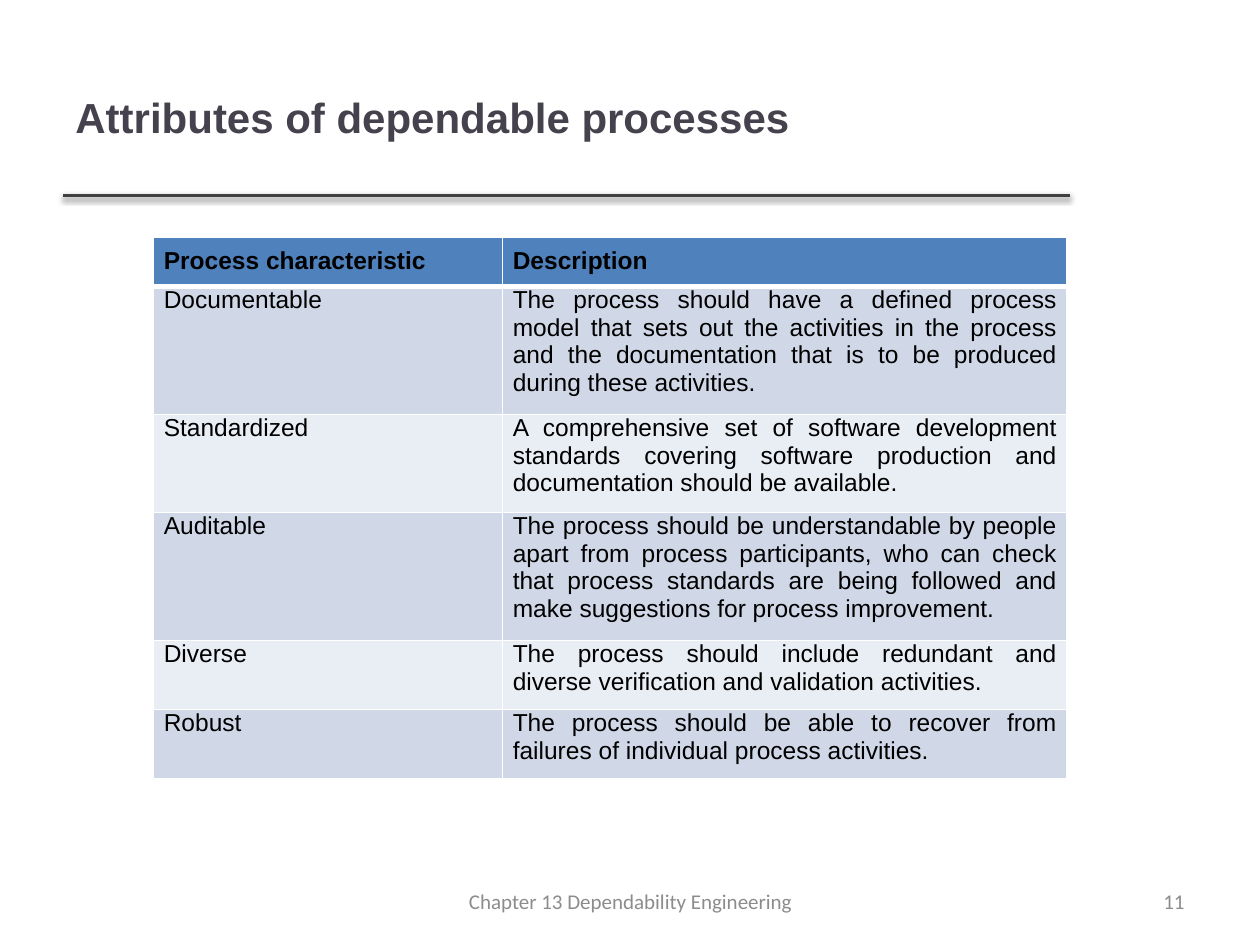
from lxml.etree import SubElement
from pptx import Presentation
from pptx.dml.color import RGBColor
from pptx.enum.shapes import MSO_CONNECTOR
from pptx.enum.text import MSO_ANCHOR, PP_ALIGN
from pptx.oxml.ns import qn
from pptx.util import Inches, Pt

HEADER_FILL = "4F81BD"
BAND_FILLS = ("D0D8E8", "E9EDF4")
FOOTER_STYLE = {"size": 12, "color": "8C8C8C", "font": "Calibri"}
COLUMN_WIDTHS = (2.77, 4.48)
LINE_HEIGHT = 0.2175
CELL_MARGIN = 0.08

HEADINGS = ("Process characteristic", "Description")
# Characteristic, description, lines of description
ATTRIBUTES = [
    ("Documentable", "The process should have a defined process model that sets out the "
     "activities in the process and the documentation that is to be produced during "
     "these activities.", 4),
    ("Standardized", "A comprehensive set of software development standards covering "
     "software production and documentation should be available.", 3),
    ("Auditable", "The process should be understandable by people apart from process "
     "participants, who can check that process standards are being followed and make "
     "suggestions for process improvement.", 4),
    ("Diverse", "The process should include redundant and diverse verification and "
     "validation activities.", 2),
    ("Robust", "The process should be able to recover from failures of individual "
     "process activities.", 2),
]


def rgb(value):
    return RGBColor.from_string(value)


class SlideBuilder:
    def __init__(self, slide):
        self.slide = slide

    def style(self, paragraph, size, color="000000", bold=False,
              align=PP_ALIGN.LEFT, font="Arial"):
        paragraph.alignment = align
        paragraph.font.name = font
        paragraph.font.size = Pt(size)
        paragraph.font.bold = bold
        paragraph.font.color.rgb = rgb(color)

    def text(self, content, left, top, width, height, **style):
        box = self.slide.shapes.add_textbox(
            Inches(left), Inches(top), Inches(width), Inches(height))
        frame = box.text_frame
        frame.word_wrap = True
        frame.vertical_anchor = MSO_ANCHOR.MIDDLE
        frame.text = content
        self.style(frame.paragraphs[0], **style)

    def rule(self, left, right, top, color, width):
        line = self.slide.shapes.add_connector(
            MSO_CONNECTOR.STRAIGHT, Inches(left), Inches(top), Inches(right), Inches(top))
        line.line.color.rgb = rgb(color)
        line.line.width = Pt(width)
        effects = SubElement(line._element.spPr, qn("a:effectLst"))
        shadow = SubElement(effects, qn("a:outerShdw"), blurRad=str(Pt(3.1)),
                            dist=str(Pt(1.6)), dir="5400000", rotWithShape="0")
        shade = SubElement(shadow, qn("a:srgbClr"), val="000000")
        SubElement(shade, qn("a:alpha"), val="38000")

    def borders(self, cell, **widths):
        properties = cell._tc.get_or_add_tcPr()
        for side, width in widths.items():
            edge = SubElement(properties, qn(f"a:ln{side}"), w=str(Pt(width)))
            fill = SubElement(edge, qn("a:solidFill"))
            SubElement(fill, qn("a:srgbClr"), val="FFFFFF")

    def cell(self, cell, content, fill, header, below_header):
        self.borders(cell, L=1, R=1, T=3 if below_header else 1, B=3 if header else 1)
        cell.fill.solid()
        cell.fill.fore_color.rgb = rgb(fill)
        cell.margin_left = cell.margin_right = cell.margin_bottom = Inches(CELL_MARGIN)
        cell.margin_top = Inches(CELL_MARGIN if header else 0)
        cell.text = content
        self.style(cell.text_frame.paragraphs[0], size=14, bold=header,
                   align=PP_ALIGN.JUSTIFY)

    def table(self, left, top, headings, rows):
        heights = [LINE_HEIGHT + 2 * CELL_MARGIN]
        heights += [lines * LINE_HEIGHT + CELL_MARGIN for *_, lines in rows]
        table = self.slide.shapes.add_table(
            len(heights), len(headings), Inches(left), Inches(top),
            Inches(sum(COLUMN_WIDTHS)), Inches(sum(heights))).table
        table.horz_banding = False
        for column, width in zip(table.columns, COLUMN_WIDTHS):
            column.width = Inches(width)
        for row, height in zip(table.rows, heights):
            row.height = Inches(height)
        contents = [headings] + [texts for *texts, _ in rows]
        for r, texts in enumerate(contents):
            fill = BAND_FILLS[(r - 1) % 2] if r else HEADER_FILL
            for c, content in enumerate(texts):
                self.cell(table.cell(r, c), content, fill, r == 0, r == 1)


def main():
    deck = Presentation()
    deck.slide_width, deck.slide_height = Inches(10), Inches(7.5)
    page = SlideBuilder(deck.slides.add_slide(deck.slide_layouts[6]))

    # Title and rule
    page.rule(0.5, 8.49, 1.55, "404040", 2)
    page.text("Attributes of dependable processes", 0.5, 0.3, 7.98, 1.25,
              size=24, color="46424D", bold=True)

    # Attribute table
    page.table(1.22, 1.88, HEADINGS, ATTRIBUTES)

    # Footer
    page.text("11", 7.17, 6.95, 2.33, 0.4, align=PP_ALIGN.RIGHT, **FOOTER_STYLE)
    page.text("Chapter 13 Dependability Engineering", 3.42, 6.95, 3.17, 0.4,
              align=PP_ALIGN.CENTER, **FOOTER_STYLE)

    deck.save("out.pptx")


if __name__ == "__main__":
    main()
